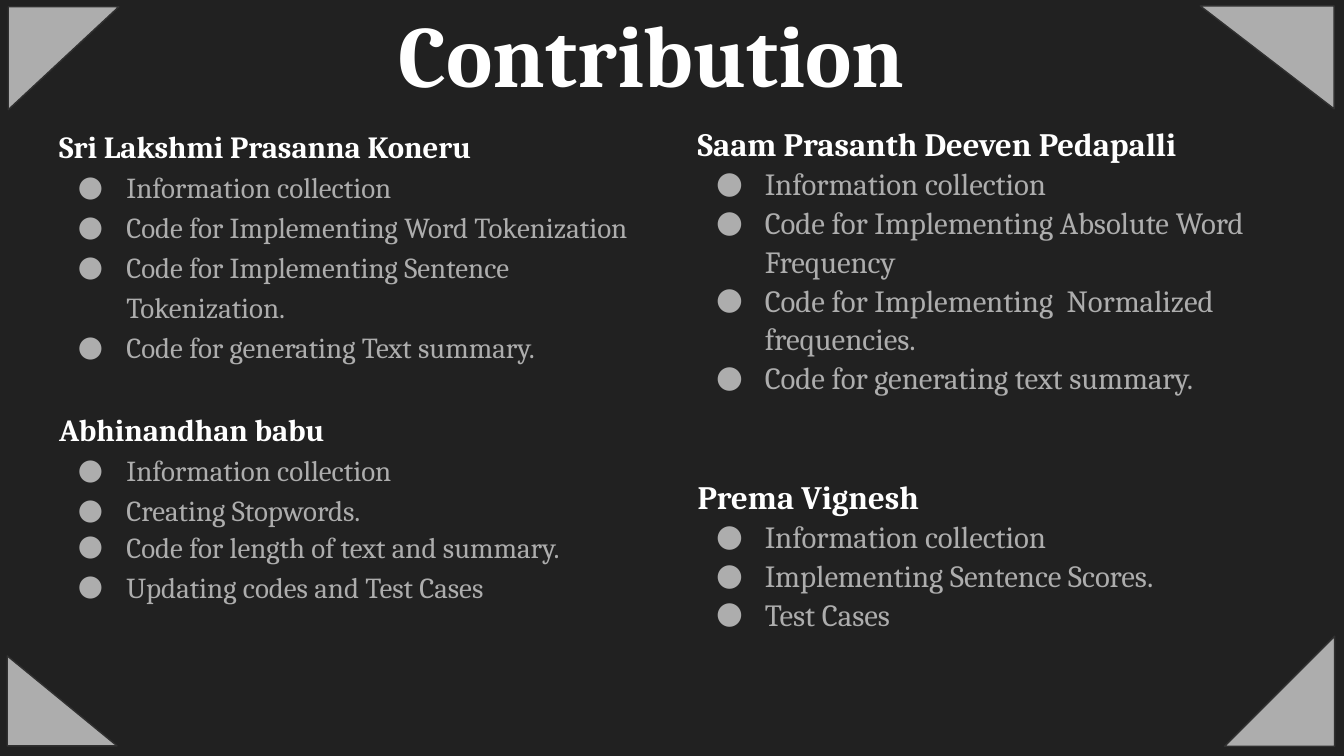
from lxml.etree import SubElement
from pptx import Presentation
from pptx.dml.color import RGBColor
from pptx.enum.shapes import MSO_SHAPE
from pptx.enum.text import MSO_ANCHOR, MSO_AUTO_SIZE, PP_ALIGN
from pptx.oxml.ns import qn
from pptx.util import Pt

# Content
TITLE = "Contribution"
COLUMNS = [
    {
        "box": (24.5, 58.3, 321, 341), "size": 15.5, "spacing": 1.15, "gap": 22,
        "people": [
            ("Sri Lakshmi Prasanna Koneru", [
                "Information collection",
                "Code for Implementing Word Tokenization",
                "Code for Implementing Sentence Tokenization.",
                "Code for generating Text summary."]),
            ("Abhinandhan babu", [
                "Information collection",
                "Creating Stopwords.",
                "Code for length of text and summary.",
                "Updating codes and Test Cases"]),
        ],
    },
    {
        "box": (366.5, 58.3, 340.5, 341), "size": 16.5, "spacing": 1.05, "gap": 42.5,
        "people": [
            ("Saam Prasanth Deeven Pedapalli", [
                "Information collection",
                "Code for Implementing Absolute Word Frequency",
                "Code for Implementing  Normalized frequencies.",
                "Code for generating text summary."]),
            ("Prema Vignesh", [
                "Information collection",
                "Implementing Sentence Scores.",
                "Test Cases"]),
        ],
    },
]
TIGHT_LINES = {"Code for length of text and summary.": 1.05}
# Left, top, width, height before rotation, and rotation
CORNERS = [
    (6.5, 1.6, 55.1, 59.2, 90),
    (643, 3.2, 71.7, 55.1, 180),
    (3.9, 351.4, 58.8, 48.2, 0),
    (656, 340.8, 59, 59, 270),
]
FONT, WHITE, GREY = "Cambria", "FFFFFF", "ADADAD"
BACKGROUND, OUTLINE = "212121", "303030"


def color(value):
    return RGBColor.from_string(value)


def place(shape, box):
    shape.left, shape.top, shape.width, shape.height = map(Pt, box)


def prepare_frame(shape, box):
    place(shape, box)
    frame = shape.text_frame
    frame.word_wrap = True
    frame.auto_size = MSO_AUTO_SIZE.NONE
    frame.vertical_anchor = MSO_ANCHOR.TOP
    frame.margin_left = frame.margin_right = Pt(7.2)
    frame.margin_top = frame.margin_bottom = Pt(7.2)
    return frame


def format_runs(paragraph, size, value, bold):
    for run in paragraph.runs:
        run.font.name, run.font.size, run.font.bold = FONT, Pt(size), bold
        run.font.color.rgb = color(value)


def set_bullet(paragraph, shown):
    properties = paragraph._p.get_or_add_pPr()
    properties.set("marL", str(Pt(36 if shown else 0)))
    properties.set("indent", str(Pt(-26 if shown else 0)))
    if shown:
        bullet_color = SubElement(properties, qn("a:buClr"))
        SubElement(bullet_color, qn("a:srgbClr"), val=GREY)
        SubElement(properties, qn("a:buFont"), typeface=FONT)
        SubElement(properties, qn("a:buChar"), char="●")
    else:
        SubElement(properties, qn("a:buNone"))


def fill_column(frame, column):
    lines = [(text, index == 0, column["gap"] if person and index == 0 else 0)
             for person, (name, tasks) in enumerate(column["people"])
             for index, text in enumerate([name, *tasks])]
    frame.text = "\n".join(text for text, _, _ in lines)
    for paragraph, (text, is_name, gap) in zip(frame.paragraphs, lines):
        paragraph.alignment = PP_ALIGN.LEFT
        paragraph.line_spacing = TIGHT_LINES.get(text, column["spacing"])
        paragraph.space_before, paragraph.space_after = Pt(gap), Pt(0)
        set_bullet(paragraph, not is_name)
        format_runs(paragraph, column["size"] + is_name,
                    WHITE if is_name else GREY, is_name)


# Slide
presentation = Presentation()
presentation.slide_width, presentation.slide_height = Pt(720), Pt(405)
slide = presentation.slides.add_slide(presentation.slide_layouts[3])
slide.background.fill.solid()
slide.background.fill.fore_color.rgb = color(BACKGROUND)

# Title, set slightly left of the centre
title_frame = prepare_frame(slide.shapes.title, (24.5, -7.2, 671, 59))
title_frame.margin_right = Pt(28.8)
title_frame.text = TITLE
title_frame.paragraphs[0].alignment = PP_ALIGN.CENTER
format_runs(title_frame.paragraphs[0], 46.8, WHITE, True)

# Two columns of people and their tasks
for index, column in enumerate(COLUMNS, start=1):
    fill_column(prepare_frame(slide.placeholders[index], column["box"]), column)

# Corner triangles
for *box, rotation in CORNERS:
    triangle = slide.shapes.add_shape(MSO_SHAPE.RIGHT_TRIANGLE, *map(Pt, box))
    triangle.rotation = rotation
    triangle.shadow.inherit = False
    triangle.fill.solid()
    triangle.fill.fore_color.rgb = color(GREY)
    triangle.line.color.rgb = color(OUTLINE)
    triangle.line.width = Pt(0.75)

presentation.save("out.pptx")
